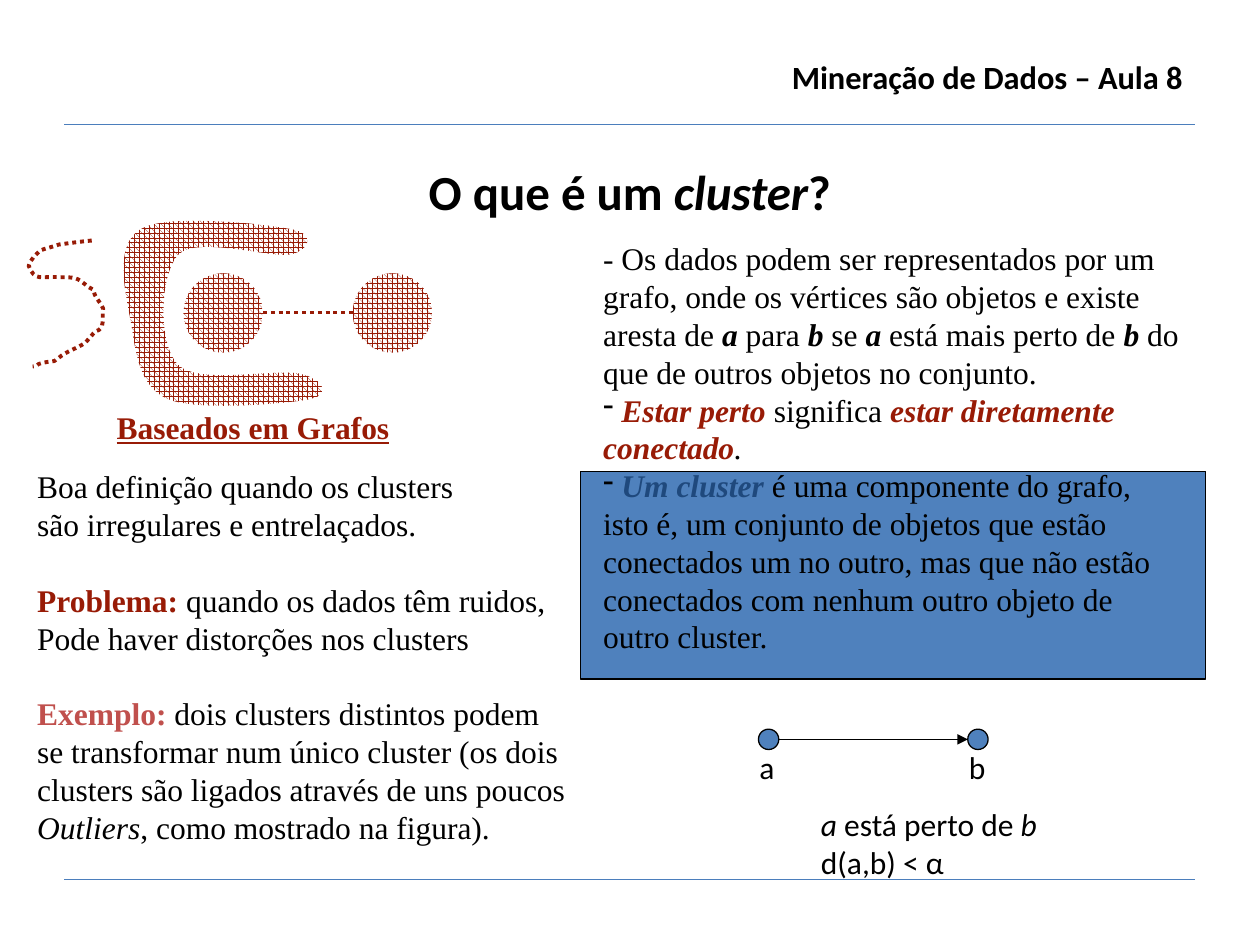
from pptx import Presentation
from pptx.dml.color import RGBColor as Rgb
from pptx.enum.dml import MSO_LINE as Dash, MSO_PATTERN as Pat
from pptx.enum.shapes import MSO_CONNECTOR as Conn, MSO_SHAPE as Kind
from pptx.enum.text import MSO_AUTO_SIZE as Auto, PP_ALIGN as Align
from pptx.oxml.ns import qn
from pptx.oxml.xmlchemy import OxmlElement as Node
from pptx.util import Cm, Pt

HUES = {"ink": "000000", "rust": "981B06", "rose": "C0504D", "navy": "1F497D",
        "blue": "4F81BD", "rule": "4B7EBC", "paper": "FFFFFF"}
SERIF, SANS = "Times New Roman", "Calibri"


def hue(name):
    return Rgb.from_string(HUES[name])


def add_text(slide, box, paras, font=SERIF, size=18, wrap=False, align=None):
    """Each paragraph is a list of (text, marks, colour) runs; marks are b, i, u."""
    shape = slide.shapes.add_textbox(*map(Cm, box))
    frame = shape.text_frame
    frame.word_wrap = wrap
    frame.auto_size = Auto.SHAPE_TO_FIT_TEXT
    for n, runs in enumerate(paras):
        para = frame.paragraphs[0] if n == 0 else frame.add_paragraph()
        para.alignment = align
        for text, marks, tint in runs:
            run = para.add_run()
            run.text = text
            face = run.font
            face.name, face.size = font, Pt(size)
            face.color.rgb = hue(tint)
            face.bold, face.italic = "b" in marks, "i" in marks
            face.underline = "u" in marks
    return frame


def add_line(slide, x1, y1, x2, y2, tint, width=0.75):
    line = slide.shapes.add_connector(Conn.STRAIGHT, Cm(x1), Cm(y1), Cm(x2), Cm(y2))
    line.line.color.rgb, line.line.width = hue(tint), Pt(width)
    line._element.spPr.append(Node("a:effectLst"))
    return line


def add_solid(slide, kind, box):
    shape = slide.shapes.add_shape(kind, *map(Cm, box))
    shape.shadow.inherit = False
    shape.fill.solid()
    shape.fill.fore_color.rgb = hue("blue")
    shape.line.color.rgb, shape.line.width = hue("ink"), Pt(0.75)


def fill_mesh(shape):
    shape.shadow.inherit = False
    shape.fill.patterned()
    shape.fill.pattern = Pat.SPHERE
    shape.fill.fore_color.rgb, shape.fill.back_color.rgb = hue("rust"), hue("paper")
    shape.line.fill.background()


def add_curve(slide, left, top, knots, closed):
    """Draw cubic curves; knots are a start point, then three points per curve."""
    spots = [(Cm(left + x), Cm(top + y)) for x, y in knots]
    pen = slide.shapes.build_freeform(*spots[0])
    pen.add_line_segments(spots[1:], close=closed)
    shape = pen.convert_to_shape()
    shape.shadow.inherit = False
    # Gather each three straight steps into one curve
    steps = list(shape._element.iter(qn("a:lnTo")))
    for k in range(0, len(steps), 3):
        bend = Node("a:cubicBezTo")
        steps[k].addprevious(bend)
        for step in steps[k:k + 3]:
            bend.append(step[0])
            step.getparent().remove(step)
    return shape


def dot_line(shape):
    shape.line.color.rgb, shape.line.width = hue("rust"), Pt(2.25)
    shape.line.dash_style = Dash.ROUND_DOT


def add_frame(slide, left, top, width, height):
    # Rules, course name and title
    for y in (top, top + height):
        add_line(slide, left, y, left + width, y, "rule")
    add_text(slide, (left + 3.8, top - 1.39, width - 3.8, 1),
             [[("Mineração de Dados – Aula 8", "b", "ink")]],
             SANS, 18.5, True, Align.RIGHT).paragraphs[0].line_spacing = 0.9
    add_text(slide, (left, top + 0.63, width, 1.4),
             [[("O que é um ", "b", "ink"), ("cluster", "bi", "ink"), ("?", "b", "ink")]],
             SANS, 28, True, Align.CENTER)


def add_art(slide, left, top):
    # Snake, two linked discs and the hook around the first one
    snake = [(1.27, .56), (1.04, .58), (.84, .61), (.61, .64), (.48, .69), (.36, .71),
             (.23, .76), (.13, .86), (.05, .92), (0, 1.07), (.13, 1.4), (.23, 1.27),
             (.66, 1.3), (.76, 1.3), (.86, 1.3), (.94, 1.32), (1.09, 1.37), (1.17, 1.5),
             (1.3, 1.55), (1.32, 1.7), (1.45, 1.8), (1.5, 1.93), (1.47, 2.13),
             (1.55, 2.34), (1.35, 2.39), (1.27, 2.46), (1.22, 2.54), (1.14, 2.62),
             (.97, 2.74), (.76, 2.79), (.61, 2.92), (.46, 3.02), (.61, 2.97),
             (.3, 3.02), (.28, 3.02), (.2, 3.05), (.2, 3.05), (.13, 3.1), (.15, 3.1),
             (.08, 3.1)]
    hook = [(5.28, .33), (5.79, .41), (5.66, .76), (5.28, .84), (4.9, .92), (3.4, .46),
            (3.02, .84), (2.64, 1.22), (2.59, 2.67), (3.02, 3.07), (3.43, 3.48),
            (5.03, 3.12), (5.49, 3.25), (5.92, 3.35), (6.12, 3.66), (5.66, 3.76),
            (5.23, 3.84), (3.43, 4.01), (2.82, 3.76), (2.21, 3.51), (2.16, 2.79),
            (2.06, 2.21), (1.96, 1.65), (1.7, .64), (2.26, .33), (2.79, 0),
            (4.78, .23), (5.28, .33)]
    disc = 1.6
    dot_line(add_line(slide, left + 4.72, top + 2.01, left + 6.53, top + 2.01, "rust"))
    tail = add_curve(slide, left, top, snake, False)
    tail.fill.background()
    dot_line(tail)
    for x in (3.12, 6.53):
        fill_mesh(slide.shapes.add_shape(Kind.OVAL, Cm(left + x), Cm(top + 1.22),
                                         Cm(disc), Cm(disc)))
    fill_mesh(add_curve(slide, left, top, hook, True))


def add_graph(slide, left, top, span):
    # Two nodes, the arrow from a to b, and its caption
    size = 0.41
    for x, name in ((left, "a"), (left + span, "b")):
        add_solid(slide, Kind.OVAL, (x, top, size, size))
        add_text(slide, (x - 0.23, top + 0.26, 0.86, 1.02), [[(name, "", "ink")]], SANS)
    mid = top + size / 2
    arrow = add_line(slide, left + size, mid, left + span, mid, "ink")
    tip = Node("a:tailEnd")
    tip.set("type", "triangle")
    arrow.line._get_or_add_ln().append(tip)
    add_text(slide, (left + 1.01, top + 1.4, 5.46, 1.78),
             [[("a", "i", "ink"), (" está perto de ", "", "ink"), ("b", "i", "ink")],
              [("d(a,b) < α", "", "ink")]], SANS)


def add_notes(slide, left, top):
    # Left column: heading, merit, problem and example
    add_text(slide, (left + 1.6, top - 1.2, 6.02, 1.02),
             [[("Baseados em Grafos", "bu", "rust")]])
    frame = add_text(slide, (left, top, 11.18, 7.87), [
        [("Boa definição quando os clusters", "", "ink")],
        [("são irregulares e entrelaçados.", "", "ink")],
        [("Problema:", "b", "rust"), (" quando os dados têm ruidos,", "", "ink")],
        [("Pode haver distorções nos clusters", "", "ink")],
        [("Exemplo:", "b", "rose"), (" dois clusters distintos podem", "", "ink")],
        [("se transformar num único cluster (os dois", "", "ink")],
        [("clusters são ligados através de uns poucos", "", "ink")],
        [("Outliers", "i", "ink"), (", como mostrado na figura).", "", "ink")]])
    for n in (2, 4):
        frame.paragraphs[n].space_before = Pt(21.6)


def add_points(slide, left, top):
    # Right column: definition, with the last point on a blue panel
    add_solid(slide, Kind.RECTANGLE, (left - 0.2, top + 4.8, 12.6, 4.19))
    frame = add_text(slide, (left, top, 12.19, 8.64), [
        [("- Os dados podem ser representados por um grafo, onde os vértices são "
          "objetos e existe aresta de ", "", "ink"), ("a", "bi", "ink"),
         (" para ", "", "ink"), ("b", "bi", "ink"), (" se ", "", "ink"),
         ("a ", "bi", "ink"), ("está mais perto de ", "", "ink"), ("b", "bi", "ink"),
         (" do que de outros objetos no conjunto.", "", "ink")],
        [(" ", "i", "ink"), ("Estar perto ", "bi", "rust"), ("significa ", "", "ink"),
         ("estar diretamente conectado", "bi", "rust"), (".", "i", "ink")],
        [(" ", "i", "ink"), ("Um cluster", "bi", "navy"),
         (" é uma componente do grafo, isto é, um conjunto de objetos que estão "
          "conectados um no outro, mas que não estão conectados com nenhum outro "
          "objeto de outro cluster.", "", "ink")]], wrap=True)
    for para in frame.paragraphs[1:]:
        mark = Node("a:buChar")
        mark.set("char", "-")
        props = para._p.get_or_add_pPr()
        props.append(Node("a:buFontTx"))
        props.append(mark)


def main():
    deck = Presentation()
    deck.slide_width, deck.slide_height = Cm(25.4), Cm(19.05)
    slide = deck.slides.add_slide(deck.slide_layouts[6])
    add_frame(slide, 1.3, 2.51, 22.79, 15.22)
    add_points(slide, 11.91, 4.7)
    add_art(slide, 0.58, 4.29)
    add_notes(slide, 0.5, 9.3)
    add_graph(slide, 15.29, 14.7, 4.22)
    deck.save("out.pptx")


if __name__ == "__main__":
    main()
